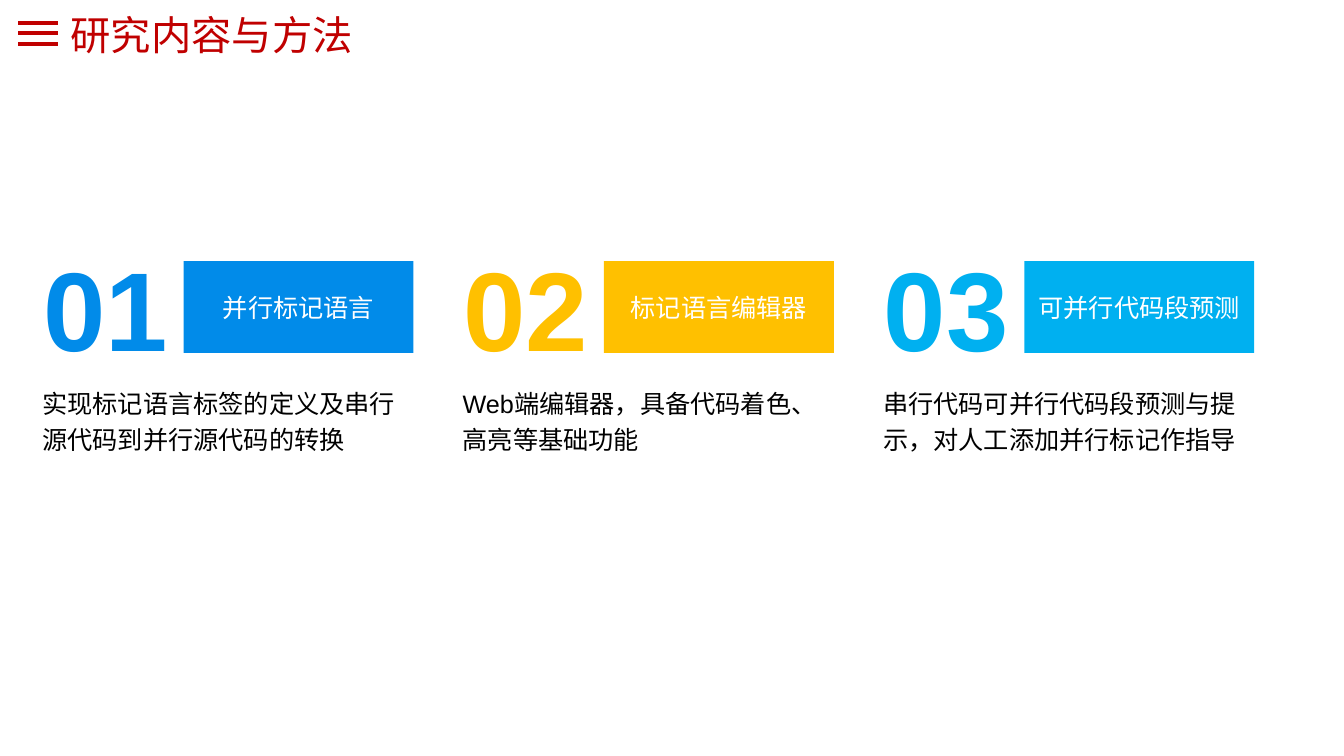
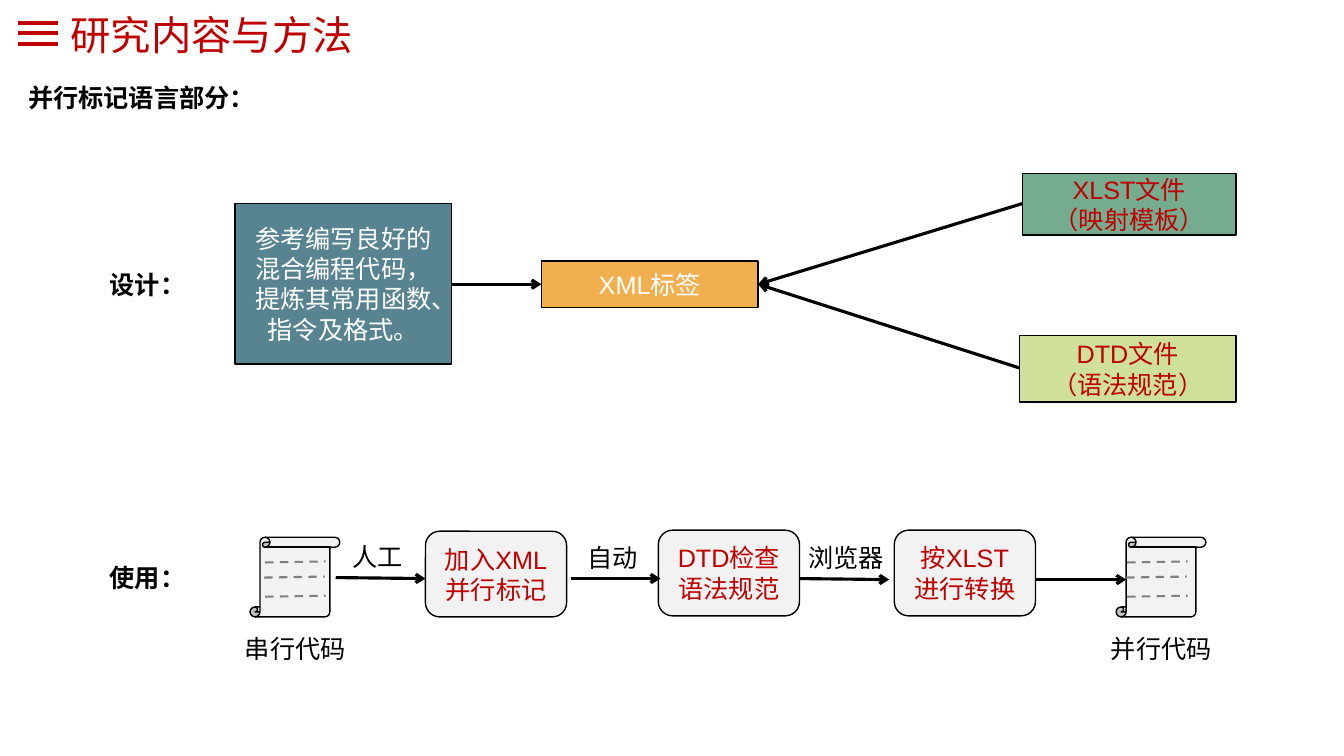
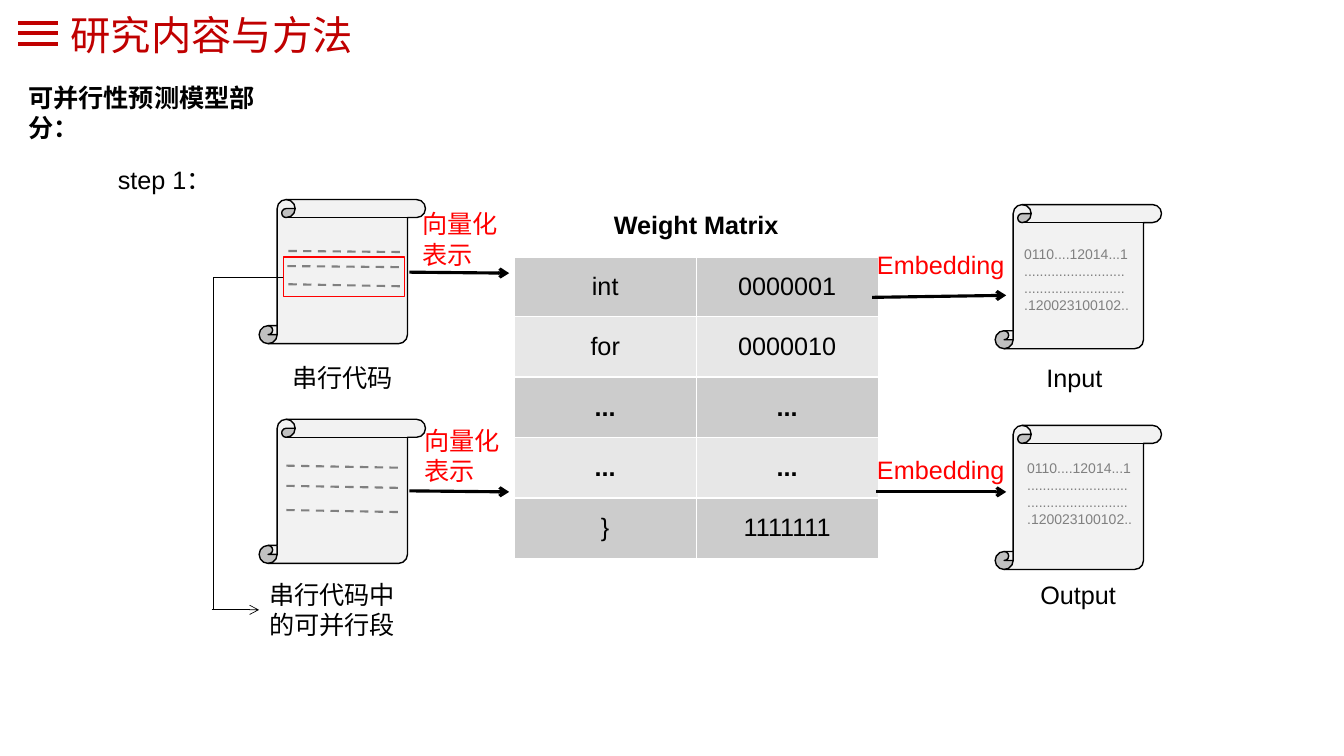
from dataclasses import dataclass
from typing import NamedTuple

from lxml.etree import SubElement
from pptx import Presentation
from pptx.dml.color import RGBColor
from pptx.enum.dml import MSO_LINE
from pptx.enum.shapes import MSO_CONNECTOR, MSO_SHAPE
from pptx.enum.text import MSO_ANCHOR, MSO_AUTO_SIZE, PP_ALIGN
from pptx.oxml.ns import qn
from pptx.presentation import Presentation as Deck
from pptx.slide import Slide
from pptx.table import _Cell
from pptx.text.text import TextFrame
from pptx.util import Inches, Pt

# Colours
BLACK = RGBColor(0x00, 0x00, 0x00)
WHITE = RGBColor(0xFF, 0xFF, 0xFF)
CRIMSON = RGBColor(0xC0, 0x00, 0x00)
RED = RGBColor(0xFF, 0x00, 0x00)
GRAY = RGBColor(0x80, 0x80, 0x80)
PAPER = RGBColor(0xF2, 0xF2, 0xF2)
BLUE = RGBColor(0x01, 0x8B, 0xE9)
GOLD = RGBColor(0xFF, 0xC0, 0x00)
SKY = RGBColor(0x00, 0xB0, 0xF0)
TEAL = RGBColor(0x58, 0x84, 0x91)
ORANGE = RGBColor(0xF1, 0xAF, 0x4F)
GREEN = RGBColor(0x75, 0xAC, 0x8F)
LIME = RGBColor(0xCF, 0xE0, 0x9A)
BAND_DARK = RGBColor(0xCC, 0xCC, 0xCC)
BAND_LIGHT = RGBColor(0xE7, 0xE7, 0xE7)

FONT = "Arial"
TITLE = "研究内容与方法"
NO_INSETS = {f"margin_{side}": 0 for side in ("left", "top", "right", "bottom")}
MIDDLE = {"word_wrap": True, "vertical_anchor": MSO_ANCHOR.MIDDLE}
GROWING = {"auto_size": MSO_AUTO_SIZE.SHAPE_TO_FIT_TEXT}


class Box(NamedTuple):
    left: float
    top: float
    width: float
    height: float


class Line(NamedTuple):
    x1: float
    y1: float
    x2: float
    y2: float


@dataclass(frozen=True)
class TextStyle:
    size: float = 18
    color: RGBColor = BLACK
    bold: bool = False
    align: PP_ALIGN = PP_ALIGN.LEFT
    spacing: float = 1.0


@dataclass(frozen=True)
class Stroke:
    color: RGBColor
    width: float
    dashed: bool = False
    arrow: bool = False


@dataclass(frozen=True)
class Label:
    text: str
    box: Box
    style: TextStyle = TextStyle()
    wrap: bool = False


@dataclass(frozen=True)
class Node:
    text: str
    box: Box
    fill: RGBColor
    color: RGBColor
    kind: MSO_SHAPE = MSO_SHAPE.RECTANGLE


@dataclass(frozen=True)
class Topic:
    number: str
    name: str
    description: str
    color: RGBColor


@dataclass(frozen=True)
class Scroll:
    box: Box
    dashes: tuple[Line, ...] = ()


TITLE_STYLE = TextStyle(28.8, CRIMSON, spacing=1.2)
HEADING = TextStyle(bold=True)
RED_TEXT = TextStyle(color=RED)
BITS = TextStyle(10, GRAY)
MENU_BAR = Stroke(CRIMSON, 3)
OUTLINE = Stroke(BLACK, 1)
FRAME = Stroke(RED, 1)
ARROW = Stroke(BLACK, 2.25, arrow=True)
DASH = Stroke(GRAY, 1.5, dashed=True)
THIN = Stroke(BLACK, 0.5)
THIN_ARROW = Stroke(BLACK, 0.5, arrow=True)


# Drawing functions
def set_all(target: object, values: dict[str, object]) -> None:
    for name, value in values.items():
        setattr(target, name, value)


def inches(box: tuple[float, ...]) -> list[Inches]:
    return [Inches(length) for length in box]


def write(frame: TextFrame, text: str, style: TextStyle,
          layout: dict[str, object]) -> None:
    set_all(frame, layout)
    for index, content in enumerate(text.split("\n")):
        paragraph = frame.add_paragraph() if index else frame.paragraphs[0]
        set_all(paragraph, {"alignment": style.align, "line_spacing": style.spacing})
        run = paragraph.add_run()
        run.text = content
        set_all(run.font, {"name": FONT, "size": Pt(style.size), "bold": style.bold})
        run.font.color.rgb = style.color


def draw_text(slide: Slide, text: str, box: Box, style: TextStyle,
              layout: dict[str, object]) -> None:
    write(slide.shapes.add_textbox(*inches(box)).text_frame, text, style, layout)


def draw_label(slide: Slide, label: Label) -> None:
    draw_text(slide, label.text, label.box, label.style,
              {"word_wrap": label.wrap, **GROWING})


def draw_shape(slide: Slide, kind: MSO_SHAPE, box: Box, fill: RGBColor | None = None,
               outline: Stroke | None = None, text: str = "",
               color: RGBColor = BLACK) -> None:
    shape = slide.shapes.add_shape(kind, *inches(box))
    shape.shadow.inherit = False
    if fill is None:
        shape.fill.background()
    else:
        shape.fill.solid()
        shape.fill.fore_color.rgb = fill
    if outline is None:
        shape.line.fill.background()
    else:
        shape.line.color.rgb = outline.color
        shape.line.width = Pt(outline.width)
    if text:
        write(shape.text_frame, text,
              TextStyle(color=color, align=PP_ALIGN.CENTER), MIDDLE)


def draw_node(slide: Slide, node: Node) -> None:
    draw_shape(slide, node.kind, node.box, node.fill, OUTLINE, node.text, node.color)


def draw_line(slide: Slide, line: Line, stroke: Stroke) -> None:
    connector = slide.shapes.add_connector(MSO_CONNECTOR.STRAIGHT, *inches(line))
    connector.line.color.rgb = stroke.color
    connector.line.width = Pt(stroke.width)
    if stroke.dashed:
        connector.line.dash_style = MSO_LINE.DASH
    properties = connector._element.spPr
    if stroke.arrow:
        SubElement(properties.find(qn("a:ln")), qn("a:tailEnd"), type="arrow")
    SubElement(properties, qn("a:effectLst"))


def draw_scroll(slide: Slide, scroll: Scroll) -> None:
    draw_shape(slide, MSO_SHAPE.VERTICAL_SCROLL, scroll.box, PAPER, OUTLINE)
    for dash in scroll.dashes:
        draw_line(slide, dash, DASH)


def border_cell(cell: _Cell, bottom: float = 1) -> None:
    properties = cell._tc.get_or_add_tcPr()
    for side, width in {"L": 1, "R": 1, "T": 1, "B": bottom}.items():
        edge = SubElement(properties, qn(f"a:ln{side}"), w=str(Pt(width)))
        fill = SubElement(edge, qn("a:solidFill"))
        SubElement(fill, qn("a:srgbClr"), val=str(WHITE))


def add_page(deck: Deck, section: str = "") -> Slide:
    slide = deck.slides.add_slide(deck.slide_layouts[5])
    title = slide.shapes.title
    placement = inches(Box(0.7, 0.06, 3.12, 0.46))
    set_all(title, dict(zip(("left", "top", "width", "height"), placement)))
    write(title.text_frame, TITLE, TITLE_STYLE,
          {**MIDDLE, **NO_INSETS, "auto_size": MSO_AUTO_SIZE.NONE})
    for y in (0.23, 0.33, 0.44):
        draw_line(slide, Line(0.18, y, 0.58, y), MENU_BAR)
    if section:
        draw_label(slide, Label(section, Box(0.18, 0.77, 2.45, 0.4), HEADING))
    return slide


# Slide 1: three research topics
TOPICS = (
    Topic("01", "并行标记语言", "实现标记语言标签的定义及串行源代码到并行源代码的转换", BLUE),
    Topic("02", "标记语言编辑器", "Web端编辑器，具备代码着色、高亮等基础功能", GOLD),
    Topic("03", "可并行代码段预测", "串行代码可并行代码段预测与提示，对人工添加并行标记作指导", SKY),
)
TOPIC_LEFT, TOPIC_PITCH = 0.32, 4.17


def build_topics(deck: Deck) -> None:
    slide = add_page(deck)
    for index, topic in enumerate(TOPICS):
        left = TOPIC_LEFT + index * TOPIC_PITCH
        draw_shape(slide, MSO_SHAPE.RECTANGLE, Box(left + 1.5, 2.59, 2.28, 0.91),
                   topic.color, text=topic.name, color=WHITE)
        draw_text(slide, topic.number, Box(left, 2.37, 1.45, 1.35),
                  TextStyle(80, topic.color, True, PP_ALIGN.CENTER),
                  {**MIDDLE, **NO_INSETS})
        draw_text(slide, topic.description, Box(left, 3.74, 3.78, 1.07),
                  TextStyle(spacing=1.2), {"word_wrap": True})


# Slide 2: design and use of the markup language
DESIGN_NODES = (
    Node("参考编写良好的混合编程代码，提炼其常用函数、指令及格式。",
         Box(2.33, 2.02, 2.15, 1.59), TEAL, WHITE),
    Node("XML标签", Box(5.37, 2.59, 2.15, 0.46), ORANGE, WHITE),
    Node("XLST文件\n（映射模板）", Box(10.14, 1.72, 2.12, 0.61), GREEN, CRIMSON),
    Node("DTD文件\n（语法规范）", Box(10.11, 3.33, 2.15, 0.66), LIME, CRIMSON),
)
USE_NODES = tuple(
    Node(text, Box(left, top, 1.4, 0.85), PAPER, CRIMSON,
         MSO_SHAPE.FLOWCHART_ALTERNATE_PROCESS)
    for text, left, top in (("加入XML并行标记", 4.22, 5.27),
                            ("DTD检查语法规范", 6.53, 5.26),
                            ("按XLST进行转换", 8.87, 5.26))
)
LANGUAGE_ARROWS = (
    Line(4.48, 2.82, 5.37, 2.82),
    Line(10.14, 2.02, 7.52, 2.82),
    Line(10.11, 3.65, 7.52, 2.82),
    Line(3.33, 5.73, 4.22, 5.74),
    Line(5.66, 5.74, 6.55, 5.74),
    Line(7.93, 5.74, 8.82, 5.75),
    Line(10.28, 5.75, 11.17, 5.75),
)
CODE_SCROLLS = tuple(
    Scroll(Box(left, 5.33, 0.89, 0.79),
           tuple(Line(start + shift, y, start + shift + 0.6, y - 0.01)
                 for shift, y in ((0.01, 5.58), (0, 5.73), (0.01, 5.92))))
    for left, start in ((2.48, 2.62), (11.07, 11.17))
)
LANGUAGE_LABELS = (
    Label("人工", Box(3.4, 5.32, 0.7, 0.4)),
    Label("自动", Box(5.73, 5.33, 0.7, 0.4)),
    Label("浏览器", Box(7.92, 5.33, 0.95, 0.4)),
    Label("串行代码", Box(2.33, 6.23, 1.2, 0.4)),
    Label("并行代码", Box(10.92, 6.23, 1.2, 0.4)),
    Label("设计：", Box(0.99, 2.62, 0.95, 0.4), HEADING, True),
    Label("使用：", Box(0.99, 5.53, 0.95, 0.4), HEADING, True),
)


def build_language(deck: Deck) -> None:
    slide = add_page(deck, "并行标记语言部分：")
    for node in DESIGN_NODES + USE_NODES:
        draw_node(slide, node)
    for scroll in CODE_SCROLLS:
        draw_scroll(slide, scroll)
    for arrow in LANGUAGE_ARROWS:
        draw_line(slide, arrow, ARROW)
    for label in LANGUAGE_LABELS:
        draw_label(slide, label)


# Slide 3: prediction model
BIT_ROWS = "\n".join(["0110....12014...1", "." * 26, "." * 26, ".120023100102.."])
WEIGHTS = (("int", "0000001"), ("for", "0000010"), ("...", "..."),
           ("...", "..."), ("}", "1111111"))
MODEL_SCROLLS = (
    Scroll(Box(2.57, 1.98, 1.65, 1.43),
           (Line(2.86, 2.49, 3.97, 2.5), Line(2.85, 2.64, 3.96, 2.65),
            Line(2.86, 2.82, 3.97, 2.84))),
    Scroll(Box(2.57, 4.16, 1.65, 1.43),
           tuple(Line(2.84, y, 3.95, y + 0.02) for y in (4.62, 4.82, 5.06))),
    Scroll(Box(9.87, 2.03, 1.65, 1.43)),
    Scroll(Box(9.87, 4.22, 1.65, 1.43)),
)
MODEL_LABELS = (
    Label("step 1：", Box(1.07, 1.58, 1.17, 0.4), wrap=True),
    Label("串行代码", Box(2.8, 3.55, 1.2, 0.4)),
    Label("串行代码中\n的可并行段", Box(2.57, 5.7, 1.45, 0.71)),
    Label("向量化表示", Box(4.09, 2.02, 0.99, 0.71), RED_TEXT, True),
    Label("向量化表示", Box(4.11, 4.17, 0.99, 0.71), RED_TEXT, True),
    Label(BIT_ROWS, Box(10.06, 2.39, 1.24, 0.77), BITS),
    Label(BIT_ROWS, Box(10.09, 4.51, 1.24, 0.77), BITS),
    Label("Input", Box(10.28, 3.55, 0.81, 0.4), wrap=True),
    Label("Output", Box(10.22, 5.7, 0.98, 0.4), wrap=True),
    Label("Embedding", Box(8.6, 2.42, 1.47, 0.4), RED_TEXT, True),
    Label("Embedding", Box(8.6, 4.46, 1.47, 0.4), RED_TEXT, True),
)
MODEL_LINES = (
    (Line(4.06, 2.7, 5.05, 2.71), ARROW),
    (Line(4.06, 4.87, 5.05, 4.88), ARROW),
    (Line(8.65, 2.95, 9.98, 2.93), ARROW),
    (Line(8.69, 4.88, 9.98, 4.88), ARROW),
    (Line(2.81, 2.75, 2.12, 2.75), THIN),
    (Line(2.12, 2.75, 2.12, 6.05), THIN),
    (Line(2.1, 6.05, 2.57, 6.05), THIN_ARROW),
)


def draw_weights(slide: Slide) -> None:
    rows = (("Weight Matrix", ""),) + WEIGHTS
    table = slide.shapes.add_table(
        len(rows), 2, *inches(Box(5.1, 1.94, 3.61, 3.58))).table
    set_all(table, {"first_row": False, "horz_banding": False})
    for row in table.rows:
        row.height = Inches(0.6)
    table.cell(0, 0).merge(table.cell(0, 1))
    for row, values in enumerate(rows):
        for column, value in enumerate(values):
            cell = table.cell(row, column)
            cell.vertical_anchor = MSO_ANCHOR.MIDDLE
            border_cell(cell, 1 if row else 3)
            if row:
                cell.fill.solid()
                cell.fill.fore_color.rgb = BAND_DARK if row % 2 else BAND_LIGHT
            else:
                cell.fill.background()
            if value:
                bold = row == 0 or value == "..."
                write(cell.text_frame, value,
                      TextStyle(bold=bold, align=PP_ALIGN.CENTER), {})


def build_model(deck: Deck) -> None:
    slide = add_page(deck, "可并行性预测模型部分：")
    for scroll in MODEL_SCROLLS:
        draw_scroll(slide, scroll)
    draw_shape(slide, MSO_SHAPE.RECTANGLE, Box(2.81, 2.55, 1.2, 0.39), outline=FRAME)
    draw_weights(slide)
    for line, stroke in MODEL_LINES:
        draw_line(slide, line, stroke)
    for label in MODEL_LABELS:
        draw_label(slide, label)


def main() -> None:
    deck = Presentation()
    set_all(deck, {"slide_width": Inches(13.33), "slide_height": Inches(7.5)})
    for build in (build_topics, build_language, build_model):
        build(deck)
    deck.save("out.pptx")


main()
